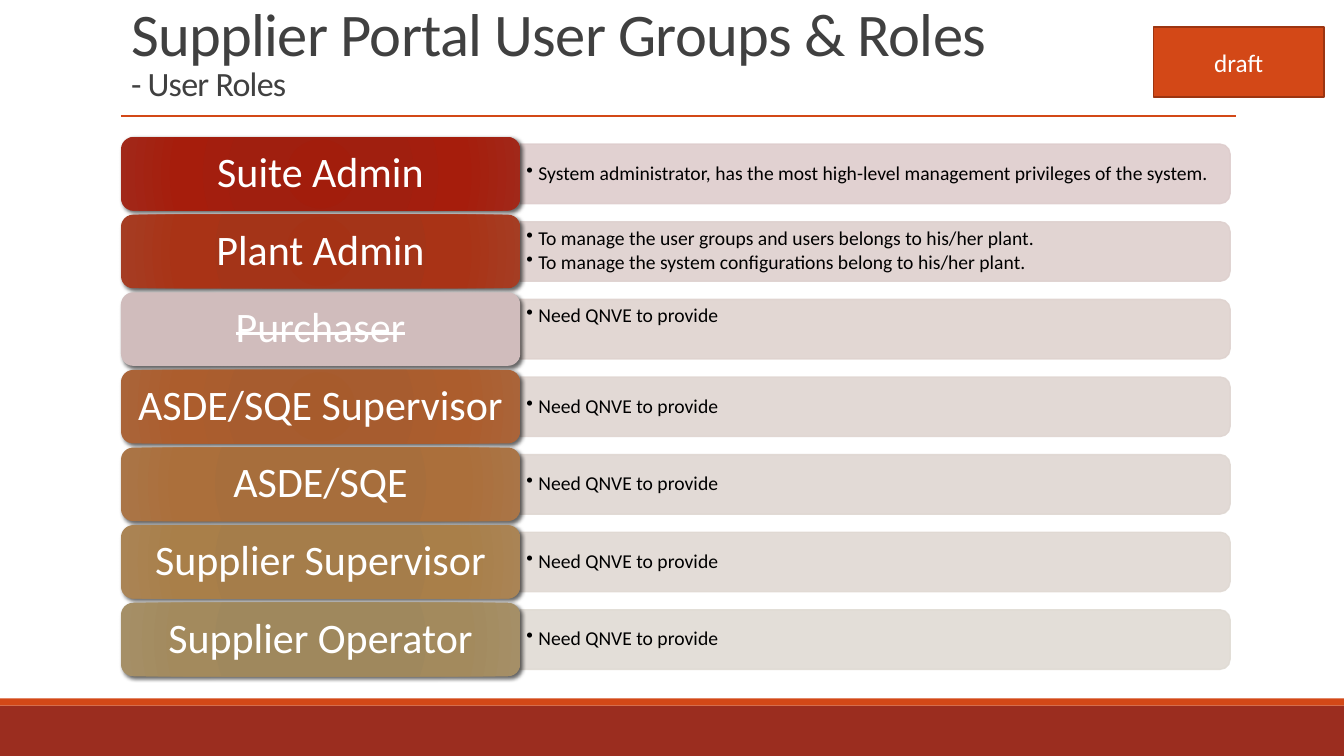
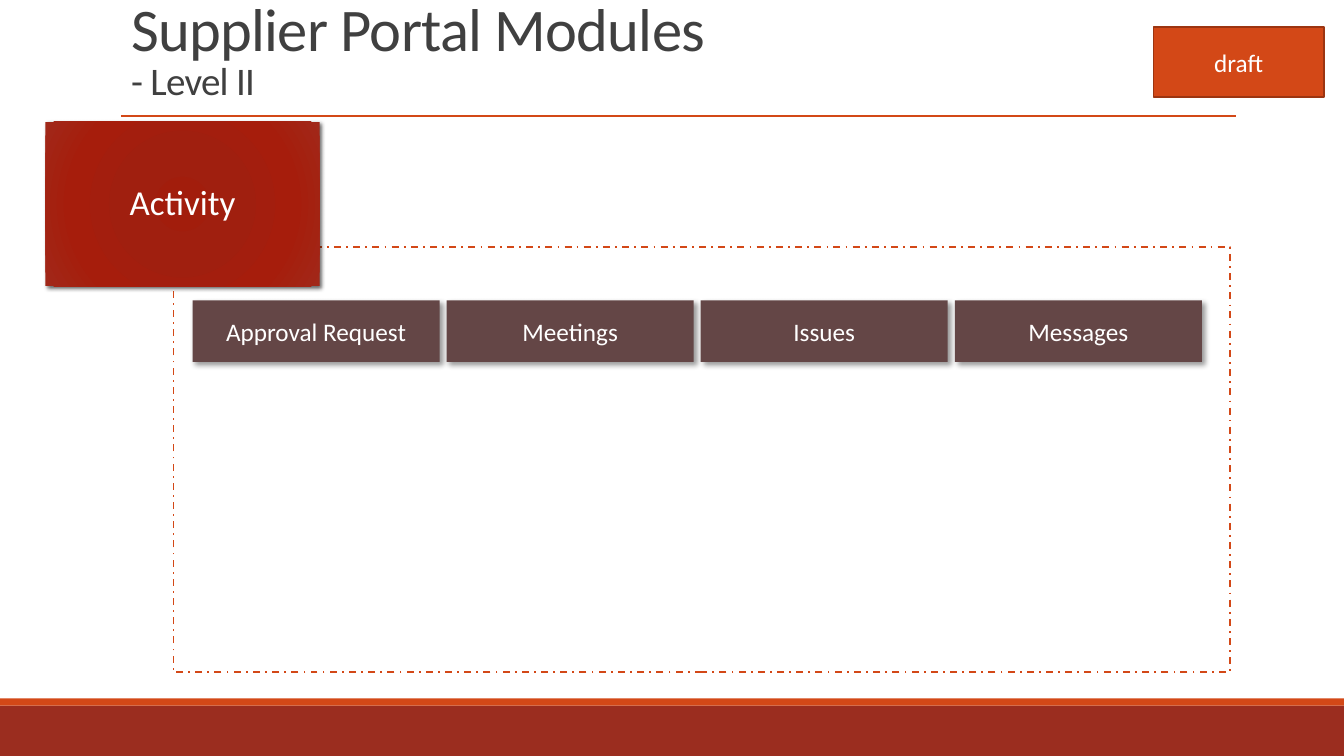
"""Build the supplier portal slides on user roles and modules."""

from dataclasses import dataclass

import lxml.etree
import pptx
import pptx.dml.color
import pptx.enum.dml
import pptx.enum.shapes
import pptx.enum.text
import pptx.oxml
import pptx.oxml.ns
import pptx.shapes.autoshape
import pptx.slide
import pptx.text.text
import pptx.util

Inches = pptx.util.Inches
Pt = pptx.util.Pt
RGBColor = pptx.dml.color.RGBColor
MSO_SHAPE = pptx.enum.shapes.MSO_SHAPE
MSO_ANCHOR = pptx.enum.text.MSO_ANCHOR
PP_ALIGN = pptx.enum.text.PP_ALIGN
qn = pptx.oxml.ns.qn

FONT = "Calibri"
COLORS = {
    "footer": "9B2D1F",
    "accent": "D34817",
    "accent_edge": "9C3511",
    "title": "404040",
    "white": "FFFFFF",
    "black": "000000",
    "module": "644646",
    "suite_bar": "DECDCD",
    "plant_bar": "DED0CE",
    "purchaser_bar": "DFD3CF",
    "asde_lead_bar": "DFD5D1",
    "asde_bar": "DFD7D2",
    "supplier_lead_bar": "E0D9D3",
    "supplier_bar": "E0DBD4",
}
GLOWS = {
    "suite": ("A21D0C", "A01F0F", "A61D0C", "A12819"),
    "plant": ("A53215", "A43418", "A93316", "A53D23"),
    "purchaser": ("D0BCBC",),
    "asde_lead": ("A75B2C", "A75C2F", "AC5D2D", "AA6439"),
    "asde": ("A76C39", "A76E3C", "AB6F3B", "AA7547"),
    "supplier_lead": ("A57C48", "A57D4A", "A97F49", "AA8455"),
    "supplier": ("9F875B", "9F885D", "A38A5D", "A58F67"),
}
GLOW_STOPS = (0, 34, 70, 100)
PENDING = ("Need QNVE to provide",)


@dataclass(frozen=True)
class Box:
    left: float
    top: float
    width: float
    height: float

    def lengths(self) -> tuple[int, ...]:
        return tuple(Inches(v) for v in (self.left, self.top, self.width, self.height))


@dataclass(frozen=True)
class Role:
    name: str
    tone: str
    duties: tuple[str, ...] = PENDING
    retired: bool = False


@dataclass(frozen=True)
class Shadow:
    alpha: int
    blur: float
    distance: float


ROLES = (
    Role(
        "Suite Admin",
        "suite",
        ("System administrator, has the most high-level management privileges of the system.",),
    ),
    Role(
        "Plant Admin",
        "plant",
        (
            "To manage the user groups and users belongs to his/her plant.",
            "To manage the system configurations belong to his/her plant.",
        ),
    ),
    Role("Purchaser", "purchaser", retired=True),
    Role("ASDE/SQE Supervisor", "asde_lead"),
    Role("ASDE/SQE", "asde"),
    Role("Supplier Supervisor", "supplier_lead"),
    Role("Supplier Operator", "supplier"),
)
MODULES = ("Approval Request", "Meetings", "Issues", "Messages")
LABEL_SHADOW = Shadow(60, 3, 2)
MODULE_SHADOW = Shadow(40, 4, 3)


def rgb(name: str) -> RGBColor:
    return RGBColor.from_string(COLORS[name])


def style_run(run: pptx.text.text._Run, size: float, color: str) -> None:
    run.font.name = FONT
    run.font.size = Pt(size)
    run.font.color.rgb = rgb(color)


def add_block(
    slide: pptx.slide.Slide,
    box: Box,
    fill: str | None = None,
    line: str | None = None,
    preset: MSO_SHAPE = MSO_SHAPE.RECTANGLE,
) -> pptx.shapes.autoshape.Shape:
    block = slide.shapes.add_shape(preset, *box.lengths())
    block.shadow.inherit = False
    if fill:
        block.fill.solid()
        block.fill.fore_color.rgb = rgb(fill)
    else:
        block.fill.background()
    if line:
        block.line.color.rgb = rgb(line)
        block.line.width = Pt(1.25)
    else:
        block.line.fill.background()
    return block


def write_centered(
    block: pptx.shapes.autoshape.Shape, words: str, size: float, spacing: float = 1.0
) -> pptx.text.text._Run:
    frame = block.text_frame
    frame.word_wrap = True
    frame.vertical_anchor = MSO_ANCHOR.MIDDLE
    frame.text = words
    paragraph = frame.paragraphs[0]
    paragraph.alignment = PP_ALIGN.CENTER
    paragraph.line_spacing = spacing
    style_run(paragraph.runs[0], size, "white")
    return paragraph.runs[0]


def cast_shadow(block: pptx.shapes.autoshape.Shape, shadow: Shadow) -> None:
    effects = block._element.spPr.find(qn("a:effectLst"))
    outer = lxml.etree.SubElement(
        effects,
        qn("a:outerShdw"),
        blurRad=str(Pt(shadow.blur)),
        dist=str(Pt(shadow.distance)),
        dir=str(45 * 60000),
        rotWithShape="0",
    )
    tint = lxml.etree.SubElement(outer, qn("a:srgbClr"), val=COLORS["black"])
    lxml.etree.SubElement(tint, qn("a:alpha"), val=str(shadow.alpha * 1000))


def apply_glow(block: pptx.shapes.autoshape.Shape, tone: str) -> None:
    shades = GLOWS[tone]
    block.fill.solid()
    block.fill.fore_color.rgb = RGBColor.from_string(shades[0])
    if len(shades) == 1:
        return
    solid = block._element.spPr.find(qn("a:solidFill"))
    stops = "".join(
        f'<a:gs pos="{stop * 1000}"><a:srgbClr val="{shade}"/></a:gs>'
        for stop, shade in zip(GLOW_STOPS, shades)
    )
    gradient = pptx.oxml.parse_xml(
        f'<a:gradFill {pptx.oxml.ns.nsdecls("a")} rotWithShape="1"><a:gsLst>{stops}</a:gsLst>'
        '<a:path path="circle"><a:fillToRect l="50000" t="50000" r="50000" b="50000"/></a:path>'
        "</a:gradFill>"
    )
    solid.getparent().replace(solid, gradient)


def add_slide(
    deck: pptx.presentation.Presentation, heading: str, subheading: str, subheading_size: float
) -> pptx.slide.Slide:
    slide = deck.slides.add_slide(deck.slide_layouts[5])
    add_block(slide, Box(0, 7, 13.33, 0.5), "footer")
    add_block(slide, Box(0, 6.93, 13.33, 0.07), "accent")

    rule = slide.shapes.add_connector(
        pptx.enum.shapes.MSO_CONNECTOR.STRAIGHT,
        Inches(1.2), Inches(1.15), Inches(12.26), Inches(1.15),
    )
    rule.line.color.rgb = rgb("accent")
    rule.line.width = Pt(1)
    lxml.etree.SubElement(rule._element.spPr, qn("a:effectLst"))

    title = slide.shapes.title
    title.left, title.top, title.width, title.height = Box(1.2, 0.27, 11, 0.81).lengths()
    frame = title.text_frame
    frame.text = f"{heading}\v{subheading}"
    frame.word_wrap = True
    frame.auto_size = pptx.enum.text.MSO_AUTO_SIZE.NONE
    frame.vertical_anchor = MSO_ANCHOR.BOTTOM
    paragraph = frame.paragraphs[0]
    paragraph.alignment = PP_ALIGN.LEFT
    paragraph.line_spacing = 0.85
    for run, size in zip(paragraph.runs, (43.2, subheading_size)):
        style_run(run, size, "title")
        run.font._element.set("spc", "-50")

    status = add_block(slide, Box(11.44, 0.27, 1.69, 0.69), "accent", "accent_edge")
    write_centered(status, "draft", 18)
    return slide


def add_duties(slide: pptx.slide.Slide, role: Role, box: Box) -> None:
    length, thickness = box.width, box.height
    upright = Box(
        box.left + (length - thickness) / 2,
        box.top + (thickness - length) / 2,
        thickness,
        length,
    )
    tone = f"{role.tone}_bar"
    bar = add_block(slide, upright, tone, tone, MSO_SHAPE.ROUND_2_SAME_RECTANGLE)
    bar.rotation = 90
    bar.line.width = Pt(1)
    for tint in bar._element.spPr.iter(qn("a:srgbClr")):
        lxml.etree.SubElement(tint, qn("a:alpha"), val="90000")

    frame = slide.shapes.add_textbox(
        *Box(box.left, box.top + 0.03, length - 0.03, thickness - 0.06).lengths()
    ).text_frame
    frame.word_wrap = True
    frame.vertical_anchor = MSO_ANCHOR.TOP if role.retired else MSO_ANCHOR.MIDDLE
    frame.margin_left = frame.margin_right = Inches(0.06)
    frame.margin_top = frame.margin_bottom = Inches(0.03)
    frame.text = "\n".join(role.duties)
    for paragraph in frame.paragraphs:
        paragraph.line_spacing = 0.9
        paragraph.space_after = Pt(2.1)
        style_run(paragraph.runs[0], 14, "black")
        properties = paragraph._p.get_or_add_pPr()
        properties.set("marL", str(Inches(0.12)))
        properties.set("indent", str(-Inches(0.12)))
        lxml.etree.SubElement(properties, qn("a:buChar"), char="•")


def add_role(slide: pptx.slide.Slide, role: Role, top: float) -> None:
    add_duties(slide, role, Box(5.16, top + 0.07, 7.04, 0.59))
    label = add_block(slide, Box(1.2, top, 3.96, 0.73), preset=MSO_SHAPE.ROUNDED_RECTANGLE)
    apply_glow(label, role.tone)
    cast_shadow(label, LABEL_SHADOW)
    name = write_centered(label, role.name, 30, 0.9)
    if role.retired:
        name.font._element.set("strike", "sngStrike")


def build_roles(deck: pptx.presentation.Presentation) -> None:
    slide = add_slide(deck, "Supplier Portal User Groups & Roles", "- User Roles", 24.3)
    for row, role in enumerate(ROLES):
        add_role(slide, role, 1.36 + 0.77 * row)


def build_modules(deck: pptx.presentation.Presentation) -> None:
    slide = add_slide(deck, "Supplier Portal Modules", "- Level II", 27.9)
    scope = add_block(slide, Box(1.72, 2.45, 10.48, 4.22), line="accent")
    scope.line.dash_style = pptx.enum.dml.MSO_LINE.DASH_DOT

    activity = add_block(slide, Box(0.45, 1.21, 2.72, 1.63))
    apply_glow(activity, "suite")
    cast_shadow(activity, LABEL_SHADOW)
    write_centered(activity, "Activity", 25, 0.9)

    for column, name in enumerate(MODULES):
        module = add_block(slide, Box(1.91 + 2.52 * column, 2.98, 2.45, 0.61), "module")
        cast_shadow(module, MODULE_SHADOW)
        write_centered(module, name, 18)


def main() -> None:
    deck = pptx.Presentation()
    deck.slide_width, deck.slide_height = Inches(13.33), Inches(7.5)
    build_roles(deck)
    build_modules(deck)
    deck.save("out.pptx")


if __name__ == "__main__":
    main()
